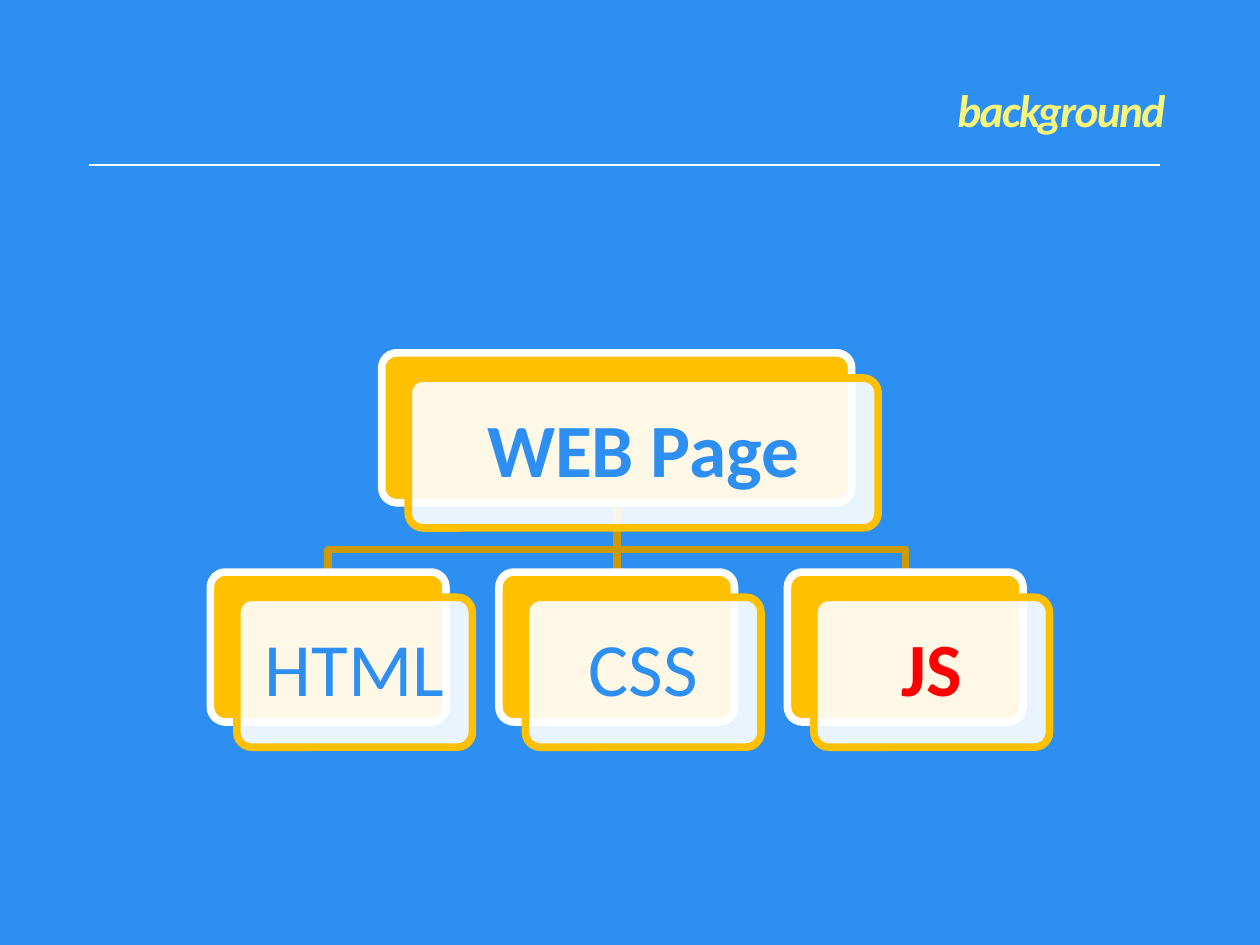
"""Build a slide showing a web page as a tree of HTML, CSS and JS."""
import pptx
import pptx.dml.color
import pptx.enum.shapes
import pptx.enum.text
import pptx.oxml.ns
import pptx.util
from lxml import etree

Inches, Pt = pptx.util.Inches, pptx.util.Pt
qn = pptx.oxml.ns.qn
SHAPES = pptx.enum.shapes.MSO_SHAPE
ALIGN = pptx.enum.text.PP_ALIGN
MIDDLE = pptx.enum.text.MSO_ANCHOR.MIDDLE


def rgb(value):
    """Return the colour for a hex string."""
    return pptx.dml.color.RGBColor.from_string(value)


def write(tf, text, size, color, align, bold=False, italic=False):
    """Write one formatted run, centred vertically."""
    tf.word_wrap, tf.vertical_anchor = True, MIDDLE
    p = tf.paragraphs[0]
    p.alignment, p.line_spacing = align, 0.9
    r = p.add_run()
    r.text = text
    r.font.name, r.font.size = "Calibri", Pt(size)
    r.font.bold, r.font.italic = bold, italic
    r.font.color.rgb = rgb(color)
    return r


BLUE, GOLD, WHITE = "2E8FF3", "FFC000", "FFFFFF"
LINE = 4.33
CARD_H, SHIFT_X, SHIFT_Y = 1.19, 0.21, 0.2
ROOT_X, ROOT_Y, ROOT_W = 3.03, 2.8, 3.73
LEAF_X, LEAF_Y, LEAF_W, LEAF_STEP = 1.67, 4.54, 1.87, 2.29

prs = pptx.Presentation()
prs.slide_width, prs.slide_height = Inches(10), Inches(7.5)
s = prs.slides.add_slide(prs.slide_layouts[5])
s.background.fill.solid()
s.background.fill.fore_color.rgb = rgb(BLUE)

title = s.shapes.title
title.left, title.top = Inches(0.67), Inches(0.54)
title.width, title.height = Inches(8.58), Inches(0.71)
tf = title.text_frame
tf.margin_left = tf.margin_right = tf.margin_top = tf.margin_bottom = 0
r = write(tf, "background", 26, "F8F57B", ALIGN.RIGHT, True, True)
r.font._element.set("spc", "-100")

mid_x, stem_y, bar_y = ROOT_X + ROOT_W / 2, ROOT_Y + CARD_H, 4.36
for side in (1, -1):
    end_x = mid_x + side * LEAF_STEP
    fb = s.shapes.build_freeform(Inches(mid_x), Inches(stem_y))
    fb.add_line_segments([(Inches(x), Inches(y)) for x, y in
                          ((mid_x, bar_y), (end_x, bar_y), (end_x, LEAF_Y))], close=False)
    sp = fb.convert_to_shape()
    sp.shadow.inherit = False
    sp.fill.background()
    sp.line.color.rgb, sp.line.width = rgb("CC9A00"), Pt(LINE)

for x1, y1, x2, y2, color, width in ((mid_x, stem_y, mid_x, LEAF_Y, "CC9A00", LINE),
                                     (0.71, 1.31, 9.21, 1.31, WHITE, 1)):
    cx = s.shapes.add_connector(pptx.enum.shapes.MSO_CONNECTOR.STRAIGHT,
                                Inches(x1), Inches(y1), Inches(x2), Inches(y2))
    cx.line.color.rgb, cx.line.width = rgb(color), Pt(width)
    etree.SubElement(cx._element.spPr, qn("a:effectLst"))

cards = [("WEB Page", ROOT_X, ROOT_Y, ROOT_W, BLUE, True)]
for i, (text, color, bold) in enumerate((("HTML", BLUE, False), ("CSS", BLUE, False),
                                         ("JS", "FF0000", True))):
    cards.append((text, LEAF_X + i * LEAF_STEP, LEAF_Y, LEAF_W, color, bold))

for text, x, y, w, color, bold in cards:
    for dx, dy, fill, line in ((0, 0, GOLD, WHITE), (SHIFT_X, SHIFT_Y, WHITE, GOLD)):
        sp = s.shapes.add_shape(SHAPES.ROUNDED_RECTANGLE, Inches(x + dx), Inches(y + dy),
                                Inches(w), Inches(CARD_H))
        sp.adjustments[0] = 0.1
        sp.shadow.inherit = False
        sp.fill.solid()
        sp.fill.fore_color.rgb = rgb(fill)
        sp.line.color.rgb, sp.line.width = rgb(line), Pt(LINE)
    clr = sp._element.spPr.find(qn("a:solidFill")).find(qn("a:srgbClr"))
    etree.SubElement(clr, qn("a:alpha")).set("val", "90000")
    tf = sp.text_frame
    tf.margin_left = tf.margin_right = Inches(0.14)
    write(tf, text, 43, color, ALIGN.CENTER, bold)

prs.save("out.pptx")
